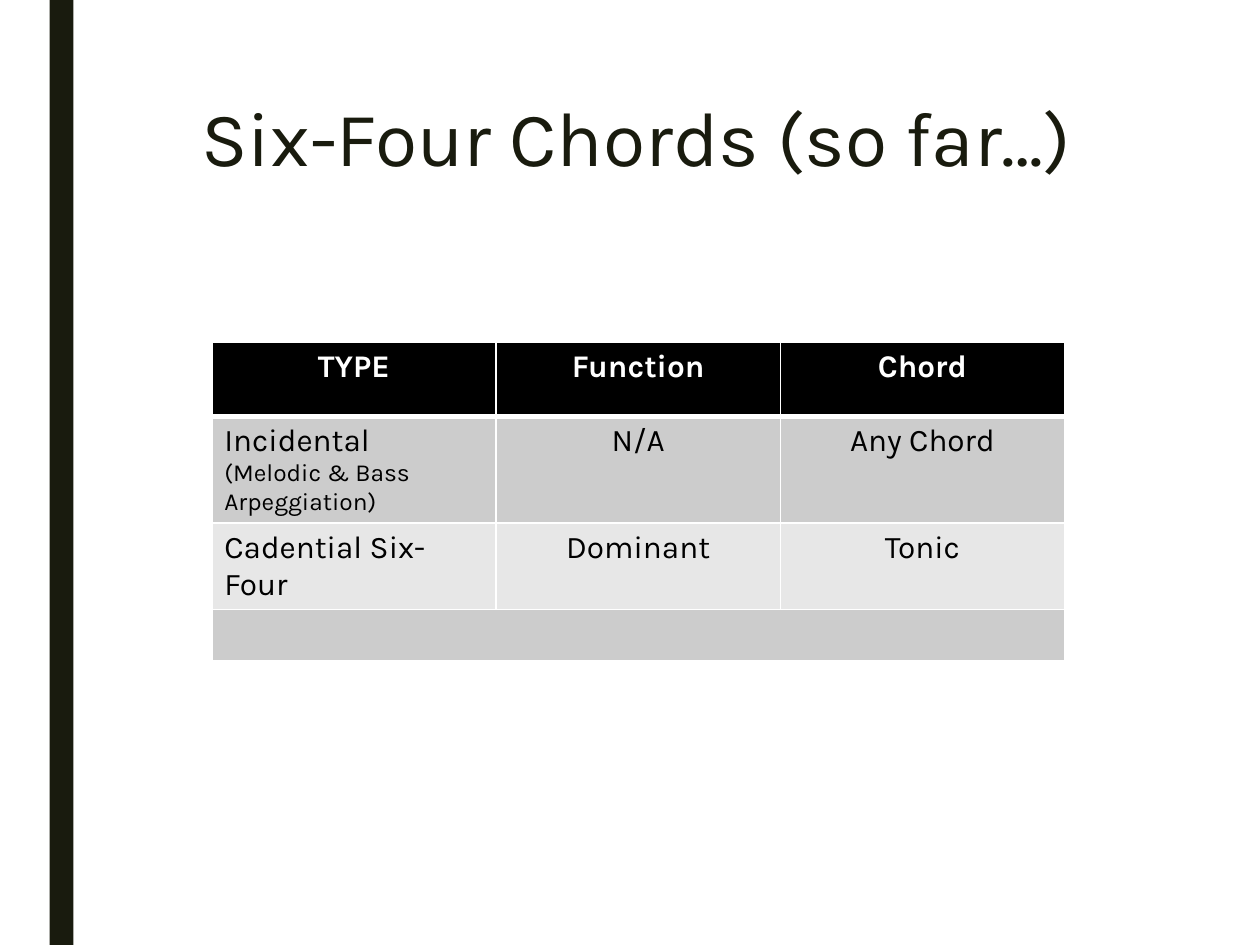
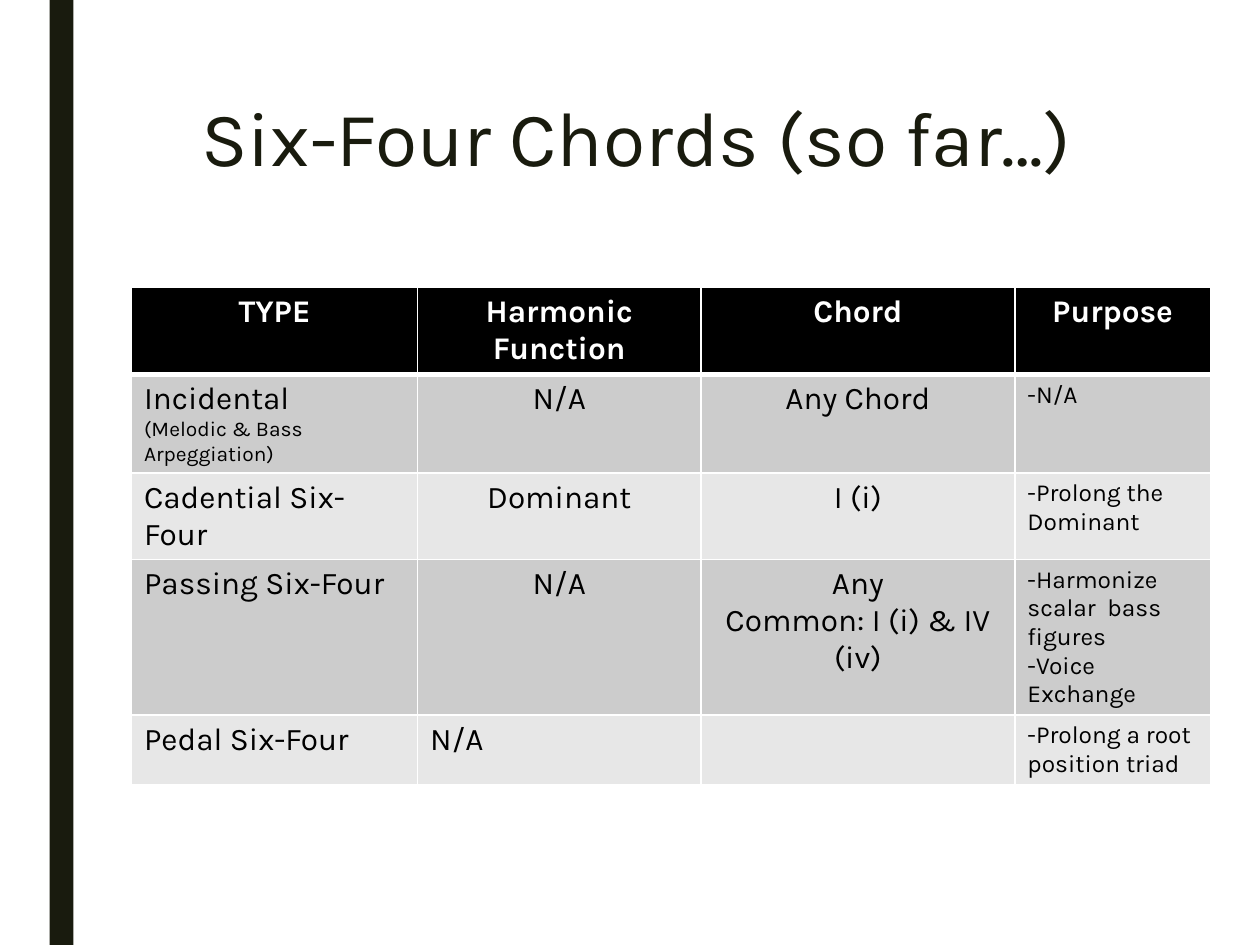
import lxml.etree
import pptx
import pptx.dml.color
import pptx.enum.shapes
import pptx.enum.text
import pptx.oxml.ns
import pptx.util

Cm, Pt = pptx.util.Cm, pptx.util.Pt
ALIGN = pptx.enum.text.PP_ALIGN
COLORS = {"ink": "191B0E", "white": "FFFFFF", "black": "000000",
          "odd": "CCCCCC", "even": "E7E7E7"}
FONT = "Karla"
TITLE_ONLY = 5


def rgb(name):
    return pptx.dml.color.RGBColor.from_string(COLORS[name])


class Deck:
    def __init__(self):
        self.prs = pptx.Presentation()
        self.prs.slide_width, self.prs.slide_height = Cm(25.4), Cm(19.05)
        self.s = None

    def slide(self, title):
        self.s = self.prs.slides.add_slide(self.prs.slide_layouts[TITLE_ONLY])
        self.band()
        self.title(title)

    def band(self):
        sp = self.s.shapes.add_shape(pptx.enum.shapes.MSO_SHAPE.RECTANGLE,
                                     Cm(1), 0, Cm(0.48), self.prs.slide_height)
        sp.shadow.inherit = False
        sp.fill.solid()
        sp.fill.fore_color.rgb = rgb("ink")
        sp.line.fill.background()

    def title(self, text):
        sp = self.s.shapes.title
        place = {"left": Cm(2.84), "top": Cm(1.9), "width": Cm(20), "height": Cm(4.1)}
        for name, value in place.items():
            setattr(sp, name, value)
        tf = sp.text_frame
        frame = {"word_wrap": True, "auto_size": pptx.enum.text.MSO_AUTO_SIZE.NONE,
                 "vertical_anchor": pptx.enum.text.MSO_ANCHOR.TOP}
        for name, value in frame.items():
            setattr(tf, name, value)
        p = tf.paragraphs[0]
        p.line_spacing = 0.89
        self.text(p, text, "ink", ALIGN.CENTER, size=Pt(44), bold=False)

    def text(self, p, text, color, align, **font):
        p.alignment = align
        r = p.add_run()
        r.text = text
        r.font.color.rgb = rgb(color)
        for name, value in {"name": FONT, **font}.items():
            setattr(r.font, name, value)

    def borders(self, cell, top, bottom):
        """Draw white cell edges, widths in points."""
        tcPr = cell._tc.get_or_add_tcPr()
        for side, width in {"L": 1, "R": 1, "T": top, "B": bottom}.items():
            ln = lxml.etree.SubElement(tcPr, pptx.oxml.ns.qn(f"a:ln{side}"), w=str(Pt(width)))
            fill = lxml.etree.SubElement(ln, pptx.oxml.ns.qn("a:solidFill"))
            lxml.etree.SubElement(fill, pptx.oxml.ns.qn("a:srgbClr"), val=COLORS["white"])

    def cell(self, cell, text, row, align, size, note_size):
        """Fill one cell; lines after the first take note_size."""
        header = row == 0
        self.borders(cell, 3 if row == 1 else 1, 3 if header else 1)
        cell.fill.solid()
        cell.fill.fore_color.rgb = rgb("black" if header else "odd" if row % 2 else "even")
        tf = cell.text_frame
        for i, line in enumerate(text.split("\n") if text else []):
            p = tf.add_paragraph() if i else tf.paragraphs[0]
            self.text(p, line, "white" if header else "black", align,
                      size=Pt(note_size if i else size), bold=header)

    def table(self, left, top, widths, heights, rows, note_size, left_cells=()):
        """Lay out chord rows; a one-item row spans every column."""
        table = self.s.shapes.add_table(
            len(rows), len(widths), Cm(left), Cm(top),
            Cm(sum(widths)), Cm(sum(heights))).table
        for column, width in zip(table.columns, widths):
            column.width = Cm(width)
        for i, (texts, height) in enumerate(zip(rows, heights)):
            table.rows[i].height = Cm(height)
            if len(texts) == 1:
                table.cell(i, 0).merge(table.cell(i, len(widths) - 1))
            for j, text in enumerate(texts):
                purpose = j == 3
                plain = i > 0 and (j == 0 or purpose or (i, j) in left_cells)
                size = 14 if purpose and i else 18
                self.cell(table.cell(i, j), text, i,
                          ALIGN.LEFT if plain else ALIGN.CENTER,
                          size, note_size if j == 0 else size)


def main():
    title = "Six-Four Chords (so far…)"
    incidental = "Incidental\n(Melodic & Bass Arpeggiation)"
    cadential = "Cadential Six-Four"
    deck = Deck()

    deck.slide(title)
    deck.table(4.27, 6.89, [5.73] * 3, [1.5, 2.13, 1.74, 0.99], [
        ["TYPE", "Function", "Chord"],
        [incidental, "N/A", "Any Chord"],
        [cadential, "Dominant", "Tonic"],
        [""],
    ], note_size=14)

    deck.slide(title)
    deck.table(2.65, 5.8, [5.77, 5.71, 6.33, 3.94], [1.74, 1.98, 1.74, 3.13, 1.41], [
        ["TYPE", "Harmonic Function", "Chord", "Purpose"],
        [incidental, "N/A", "Any Chord", "-N/A"],
        [cadential, "Dominant", "I (i)", "-Prolong the Dominant"],
        ["Passing Six-Four", "N/A", "Any\nCommon: I (i) & IV (iv)",
         "-Harmonize scalar  bass figures\n-Voice Exchange"],
        ["Pedal Six-Four", "N/A", "", "-Prolong a root position triad"],
    ], note_size=12, left_cells={(4, 1)})

    deck.prs.save("out.pptx")


if __name__ == "__main__":
    main()
